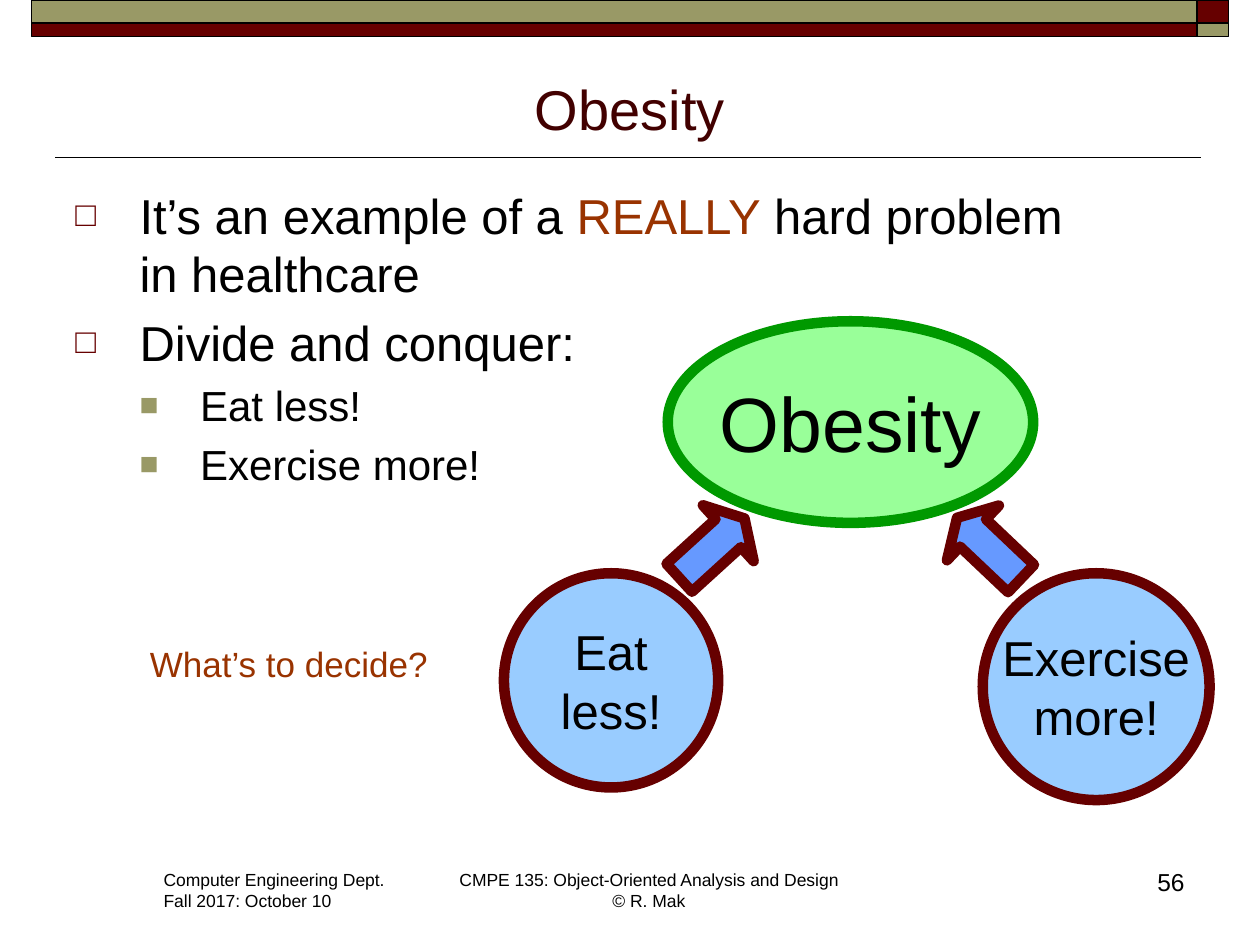
import pptx
import pptx.util
import pptx.dml.color
import pptx.enum.shapes
import pptx.enum.text
import pptx.oxml.ns
import lxml.etree

Inches, Pt = pptx.util.Inches, pptx.util.Pt
KIND = pptx.enum.shapes.MSO_SHAPE
ALIGN = pptx.enum.text.PP_ALIGN
ANCHOR = pptx.enum.text.MSO_ANCHOR
qn = pptx.oxml.ns.qn

HUES = {"wine": "660000", "olive": "999966", "black": "000000", "title": "420000",
        "rust": "993300", "mint": "99FF99", "green": "009900", "sky": "99CCFF",
        "blue": "6699FF"}

BANDS = [((9.5, 0, 0.25, 0.18), "wine"), ((0.25, 0, 9.25, 0.18), "olive"),
         ((0.25, 0.18, 9.25, 0.11), "wine"), ((9.5, 0.18, 0.25, 0.11), "olive")]

LABELS = [
    ((1.2, 6.85, 1.97, 0.44), ["Computer Engineering Dept.", "Fall 2017: October 10"],
     10, "black", "LEFT", "TOP", False),
    ((3.53, 6.85, 3.24, 0.44), ["CMPE 135: Object-Oriented Analysis and Design\n© R. Mak"],
     10, "black", "CENTER", "TOP", False),
    ((8.9, 6.83, 0.6, 0.5), ["56"], 14, "black", "RIGHT", "TOP", True),
    ((0.5, 0.45, 9, 0.72), ["Obesity"], 32, "title", "CENTER", "BOTTOM", True),
    ((1.09, 5.05, 2.41, 0.43), ["What’s to decide?"], 20, "rust", "LEFT", "TOP", False),
]

POINTS = [
    (0, [("It’s an example of a ", "black"), ("REALLY", "rust"),
         (" hard problem \nin healthcare", "black")]),
    (0, [("Divide and conquer:", "black")]),
    (1, [("Eat less!", "black")]),
    (1, [("Exercise more!", "black")]),
]
LEVELS = [("□", "wine", 70, 28, 0.51, 0.51), ("■", "olive", 75, 24, 0.99, 0.48)]

OVALS = [((5.3, 2.55, 2.9, 1.6), "Obesity", 44, "mint", "green"),
         ((4, 4.55, 1.7, 1.7), "Eat\nless!", 28, "sky", "wine"),
         ((7.8, 4.55, 1.8, 1.8), "Exercise\nmore!", 28, "sky", "wine")]
ARROWS = [((5.3, 4.05, 0.7, 0.6), 317.7), ((7.5, 4.05, 0.7, 0.6), 223.5)]


def shade(name):
    return pptx.dml.color.RGBColor.from_string(HUES[name])


def write(para, text, size, hue):
    for i, part in enumerate(text.split("\n")):
        if i:
            para.add_line_break()
        run = para.add_run()
        run.text = part
        run.font.name = "Arial"
        run.font.size = Pt(size)
        run.font.color.rgb = shade(hue)


def fill_text(frame, texts, size, hue, align, anchor, wrap):
    frame.word_wrap = wrap
    frame.vertical_anchor = getattr(ANCHOR, anchor)
    for i, text in enumerate(texts):
        para = frame.add_paragraph() if i else frame.paragraphs[0]
        para.alignment = getattr(ALIGN, align)
        write(para, text, size, hue)


def add_form(kind, box, fill, line, width):
    form = slide.shapes.add_shape(kind, *map(Inches, box))
    form.shadow.inherit = False
    form.fill.solid()
    form.fill.fore_color.rgb = shade(fill)
    form.line.color.rgb = shade(line)
    form.line.width = Pt(width)
    return form


def add_mark(para, mark, hue, scale, left, hang):
    props = para._p.get_or_add_pPr()
    props.set("marL", str(Inches(left)))
    props.set("indent", str(-Inches(hang)))
    tint = lxml.etree.SubElement(props, qn("a:buClr"))
    lxml.etree.SubElement(tint, qn("a:srgbClr"), val=HUES[hue])
    lxml.etree.SubElement(props, qn("a:buSzPct"), val=str(scale * 1000))
    lxml.etree.SubElement(props, qn("a:buFont"), typeface="Arial")
    lxml.etree.SubElement(props, qn("a:buChar"), char=mark)


deck = pptx.Presentation()
deck.slide_width, deck.slide_height = Inches(10), Inches(7.5)
slide = deck.slides.add_slide(deck.slide_layouts[6])

rule = slide.shapes.add_connector(pptx.enum.shapes.MSO_CONNECTOR.STRAIGHT,
                                  *map(Inches, (9.53, 1.25, 0.44, 1.25)))
rule.line.color.rgb = shade("black")
rule.line.width = Pt(1)
lxml.etree.SubElement(rule._element.spPr, qn("a:effectLst"))

for box, fill in BANDS:
    add_form(KIND.RECTANGLE, box, fill, "black", 1)

for box, *style in LABELS:
    fill_text(slide.shapes.add_textbox(*map(Inches, box)).text_frame, *style)

body = slide.shapes.add_textbox(*map(Inches, (0.5, 1.42, 9.1, 2.93))).text_frame
body.word_wrap = True
for i, (level, runs) in enumerate(POINTS):
    mark, hue, scale, size, left, hang = LEVELS[level]
    para = body.add_paragraph() if i else body.paragraphs[0]
    para.level = level
    add_mark(para, mark, hue, scale, left, hang)
    if i:
        para.space_before = Pt(round(size * 0.2, 1))
    for text, tone in runs:
        write(para, text, size, tone)

for box, text, size, fill, line in OVALS:
    oval = add_form(KIND.OVAL, box, fill, line, 6)
    fill_text(oval.text_frame, [text], size, "black", "CENTER", "MIDDLE", False)

for box, turn in ARROWS:
    arrow = add_form(KIND.RIGHT_ARROW, box, "blue", "wine", 6)
    arrow.rotation = turn
    arrow.adjustments[0], arrow.adjustments[1] = 0.5, 0.29

deck.save("out.pptx")
